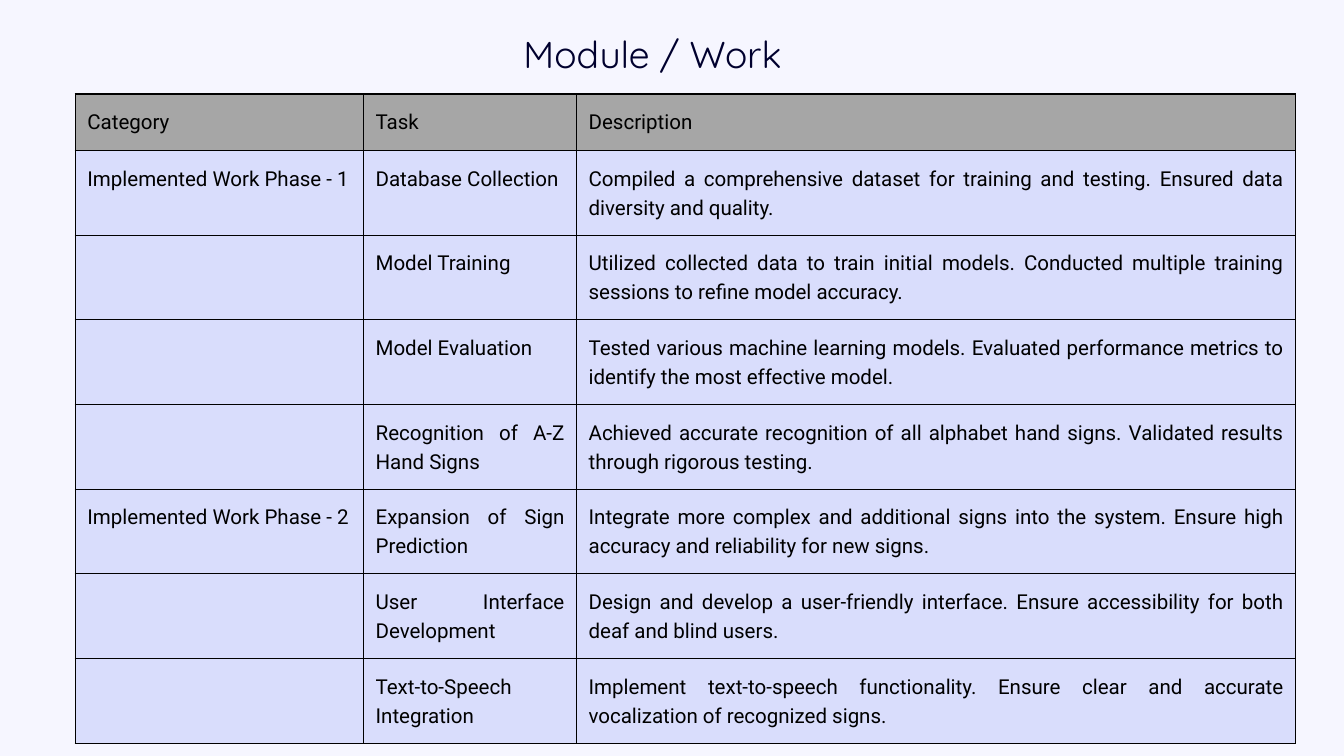
import pptx
import pptx.util
from lxml import etree
from pptx.dml.color import RGBColor
from pptx.enum.text import MSO_ANCHOR, PP_ALIGN
from pptx.oxml.ns import qn
from pptx.util import Inches, Pt

BACKGROUND = RGBColor(0xF6, 0xF6, 0xFF)
NAVY = RGBColor(0x00, 0x00, 0x2E)
BLACK = RGBColor(0x00, 0x00, 0x00)
GREY = RGBColor(0xA6, 0xA6, 0xA6)
LAVENDER = RGBColor(0xD9, 0xDD, 0xFC)

TITLE = "Module / Work"
HEADER = ("Category", "Task", "Description")
PHASES = [
    ("Implemented Work Phase - 1", [
        ("Database Collection",
         "Compiled a comprehensive dataset for training and testing. "
         "Ensured data diversity and quality."),
        ("Model Training",
         "Utilized collected data to train initial models. "
         "Conducted multiple training sessions to refine model accuracy."),
        ("Model Evaluation",
         "Tested various machine learning models. "
         "Evaluated performance metrics to identify the most effective model."),
        ("Recognition of A-Z Hand Signs",
         "Achieved accurate recognition of all alphabet hand signs. "
         "Validated results through rigorous testing."),
    ]),
    ("Implemented Work Phase - 2", [
        ("Expansion of Sign Prediction",
         "Integrate more complex and additional signs into the system. "
         "Ensure high accuracy and reliability for new signs."),
        ("User Interface Development",
         "Design and develop a user-friendly interface. "
         "Ensure accessibility for both deaf and blind users."),
        ("Text-to-Speech Integration",
         "Implement text-to-speech functionality. "
         "Ensure clear and accurate vocalization of recognized signs."),
    ]),
]
COLUMN_WIDTHS = (4.29, 3.17, 10.7)
HEADER_HEIGHT, ROW_HEIGHT = 0.84, 1.26
CELL_MARGIN = Inches(0.18)


def add_run(p, text, font, size, color):
    r = p.add_run()
    r.text = text
    r.font.name = font
    r.font.size = Pt(size)
    r.font.bold = False
    r.font.color.rgb = color


def add_borders(cell):
    tc_pr = cell._tc.get_or_add_tcPr()
    for side in ("a:lnL", "a:lnR", "a:lnT", "a:lnB"):
        ln = etree.SubElement(tc_pr, qn(side), w=str(Pt(1.5)))
        fill = etree.SubElement(ln, qn("a:solidFill"))
        etree.SubElement(fill, qn("a:srgbClr"), val=str(BLACK))


def format_cell(cell, text, color):
    add_borders(cell)
    cell.fill.solid()
    cell.fill.fore_color.rgb = color
    cell.margin_left = cell.margin_right = CELL_MARGIN
    cell.margin_top = cell.margin_bottom = CELL_MARGIN
    if text:
        p = cell.text_frame.paragraphs[0]
        p.alignment = PP_ALIGN.JUSTIFY
        p.line_spacing = Pt(30.8)
        add_run(p, text, "Roboto", 22, BLACK)


def add_title(s):
    title = s.shapes.title
    title.left, title.top = Inches(7.79), Inches(0.44)
    title.width, title.height = Inches(4.41), Inches(0.68)
    tf = title.text_frame
    tf.margin_left = tf.margin_right = tf.margin_top = tf.margin_bottom = 0
    tf.vertical_anchor = MSO_ANCHOR.TOP
    tf.word_wrap = True
    p = tf.paragraphs[0]
    p.alignment = PP_ALIGN.LEFT
    p.line_spacing = Pt(50)
    add_run(p, TITLE, "Quicksand", 40, NAVY)


def add_work_table(s):
    rows = [HEADER]
    for phase, tasks in PHASES:
        for i, (task, description) in enumerate(tasks):
            rows.append((phase if i == 0 else "", task, description))
    heights = [HEADER_HEIGHT] + [ROW_HEIGHT] * (len(rows) - 1)

    table = s.shapes.add_table(
        len(rows), len(HEADER), Inches(1.12), Inches(1.4),
        Inches(sum(COLUMN_WIDTHS)), Inches(sum(heights))).table
    table.first_row = table.horz_banding = False
    for column, width in zip(table.columns, COLUMN_WIDTHS):
        column.width = Inches(width)
    for i, (texts, height) in enumerate(zip(rows, heights)):
        table.rows[i].height = Inches(height)
        for j, text in enumerate(texts):
            format_cell(table.cell(i, j), text, LAVENDER if i else GREY)


def main():
    prs = pptx.Presentation()
    prs.slide_width, prs.slide_height = Inches(20), Inches(11.25)
    s = prs.slides.add_slide(prs.slide_layouts[5])
    s.background.fill.solid()
    s.background.fill.fore_color.rgb = BACKGROUND
    add_title(s)
    add_work_table(s)
    prs.save("out.pptx")


if __name__ == "__main__":
    main()
